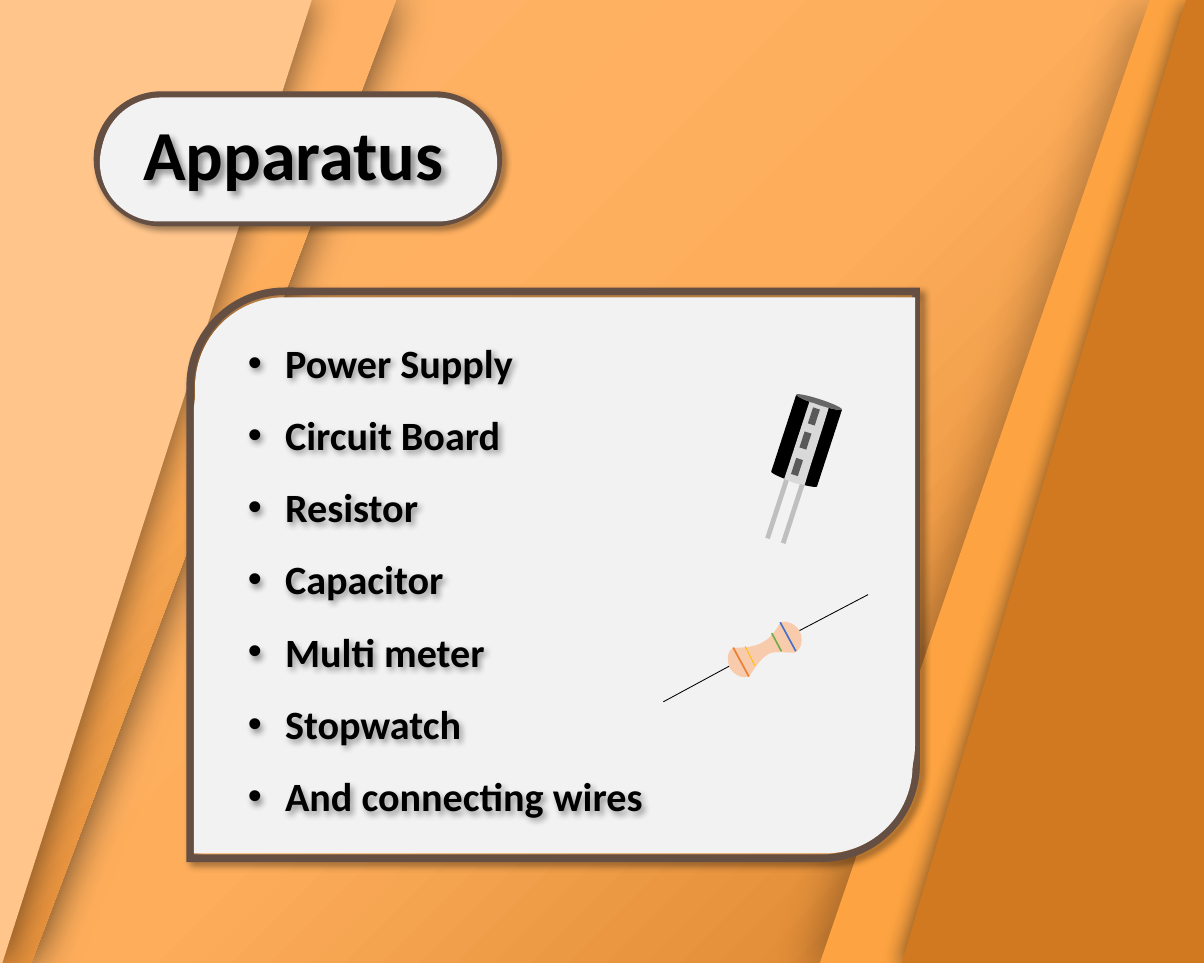
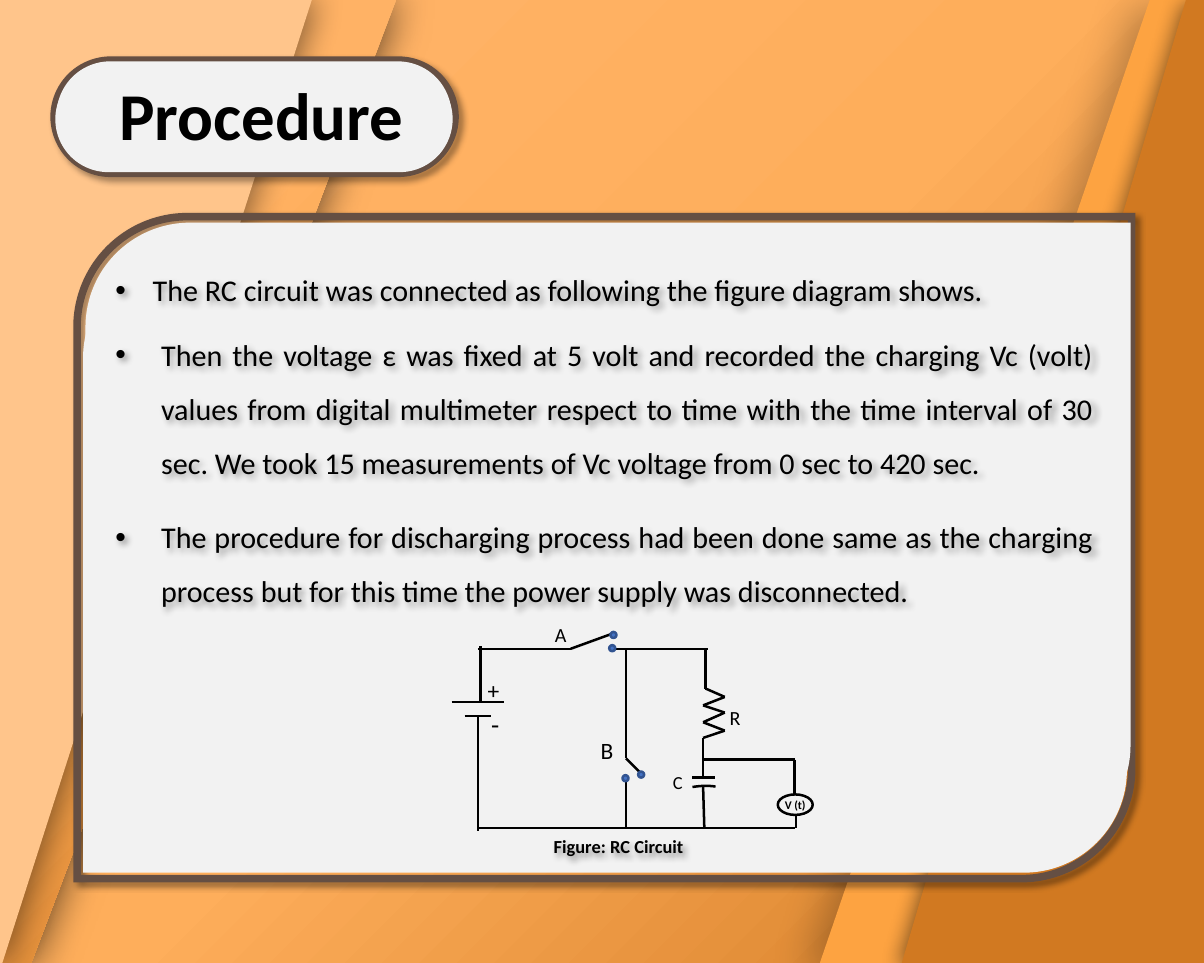
from itertools import pairwise
from math import cos, radians, sin

from lxml import etree
from pptx import Presentation
from pptx import util as u
from pptx.dml.color import RGBColor
from pptx.enum import shapes as sh, text as tx
from pptx.oxml import ns

HUE = {
    "cream": "FFC58B", "glow": "FFB66D", "warm": "FFB265", "mid": "FEAE5B",
    "amber": "FDA341", "rust": "D17921", "edge": "654F43", "paper": "F2F2F2",
    "ink": "000000", "lead": "BFBFBF", "strip": "D9D9D9", "mark": "595959",
    "skin": "F8CBAD", "gold": "FFC000", "red": "ED7D31", "green": "70AD47",
    "blue": "4472C4", "navy": "325491",
}
FONT = "Calibri"
KIND = sh.MSO_SHAPE
SOFT = (40, 4, 3, 45)


def rgb(name):
    return RGBColor.from_string(HUE[name])


def node(parent, tag, **attrs):
    made = etree.SubElement(parent, ns.qn(tag))
    for key, value in attrs.items():
        made.set(key, str(value))
    return made


def blend(props, stops, tag, **attrs):
    """Turn the solid fill of props into a gradient; returns its direction."""
    solid = props.find(ns.qn("a:solidFill"))
    grad = etree.Element(ns.qn("a:gradFill"), rotWithShape="1")
    props.replace(solid, grad)
    row = node(grad, "a:gsLst")
    for pos, name in stops:
        stop = node(row, "a:gs", pos=pos * 1000)
        node(stop, "a:srgbClr", val=HUE[name])
    return node(grad, tag, **attrs)


def shade(item, alpha, blur, dist, ang):
    item.shadow.inherit = False
    effects = item._element.spPr.find(ns.qn("a:effectLst"))
    cast = node(effects, "a:outerShdw", blurRad=u.Pt(blur), dist=u.Pt(dist),
                dir=ang * 60000, algn="ctr", rotWithShape=0)
    color = node(cast, "a:srgbClr", val=HUE["ink"])
    node(color, "a:alpha", val=alpha * 1000)


def style(item, fill=None, line=None, width=1.5):
    item.shadow.inherit = False
    if fill:
        item.fill.solid()
        item.fill.fore_color.rgb = rgb(fill)
    else:
        item.fill.background()
    if line:
        item.line.color.rgb = rgb(line)
        item.line.width = u.Pt(width)
    else:
        item.line.fill.background()
    return item


def shape(on, kind, box, fill=None, line=None, width=1.5, turn=0, adj=()):
    item = on.add_shape(kind, *map(u.Inches, box))
    item.rotation = turn
    for i, value in enumerate(adj):
        item.adjustments[i] = value
    return style(item, fill, line, width)


def wire(on, x, y, *points, color="ink", width=1.5):
    """Join the points, given from the corner x, y, by straight lines."""
    for (ax, ay), (bx, by) in pairwise(points):
        ends = map(u.Inches, (x + ax, y + ay, x + bx, y + by))
        item = on.add_connector(sh.MSO_CONNECTOR.STRAIGHT, *ends)
        item.line.color.rgb = rgb(color)
        item.line.width = u.Pt(width)
        node(item._element.spPr, "a:effectLst")


def outline(on, x, y, points, fill):
    spots = [(u.Inches(x + px), u.Inches(y + py)) for px, py in points]
    path = on.build_freeform(*spots[0], scale=1.0)
    path.add_line_segments(spots[1:], close=True)
    return style(path.convert_to_shape(), fill)


def blob(on, x, y, points, fill, mid, turn):
    """A closed chain of cubic curves, turned about the point mid."""
    c, s = cos(radians(turn)), sin(radians(turn))
    mx, my = mid
    flat = [(mx + (px - mx) * c + (py - my) * s,
             my - (px - mx) * s + (py - my) * c) for px, py in points]
    item = outline(on, x, y, flat, fill)
    legs = list(item._element.iter(ns.qn("a:lnTo")))
    for i in range(0, len(legs), 3):
        bend = etree.Element(ns.qn("a:cubicBezTo"))
        legs[i].addprevious(bend)
        for leg in legs[i:i + 3]:
            bend.append(leg[0])
            leg.getparent().remove(leg)
    item.rotation = turn


def ink(para, size, bold=False):
    font = para.font
    font.name, font.size, font.bold = FONT, u.Pt(size), bold
    font.color.rgb = rgb("ink")


def label(on, words, box, size, bold=False, left=0.1, right=0.1):
    item = on.add_textbox(*map(u.Inches, box))
    frame = item.text_frame
    frame.word_wrap = True
    frame.margin_left, frame.margin_right = u.Inches(left), u.Inches(right)
    frame.text = words
    ink(frame.paragraphs[0], size, bold)
    return item


def bullets(slide, rows, box, size, bold=False):
    """Each row is its words, indent, space around and whether justified."""
    item = slide.shapes.add_textbox(*map(u.Inches, box))
    frame = item.text_frame
    frame.word_wrap = True
    for i, (words, indent, gap, full) in enumerate(rows):
        para = frame.add_paragraph() if i else frame.paragraphs[0]
        para.text = words
        props = para._p.get_or_add_pPr()
        props.set("marL", str(u.Inches(indent)))
        props.set("indent", str(-u.Inches(indent)))
        node(props, "a:buFont", typeface="Arial")
        node(props, "a:buChar", char="•")
        para.line_spacing = 1.5
        if gap:
            para.space_before = para.space_after = u.Pt(gap)
        if full:
            para.alignment = tx.PP_ALIGN.JUSTIFY
        ink(para, size, bold)
    shade(item, *SOFT)


def bands(slide):
    """Four slanted strips: top and foot of the slant, outer edge, fill, shadow."""
    for top, foot, edge, fill, shadow in (
            (3.29, 0.26, -0.15, "rust", (68, 26, 0, 0)),
            (2.59, 0.02, -0.15, "cream", (45, 19, 3, 0)),
            (9.55, 6.81, 10.05, "amber", (26, 25, 10, 150)),
            (9.85, 7.49, 10.05, "rust", (48, 12, 3, 135))):
        corners = [(edge, 0), (top, 0), (foot, 8), (edge, 8)]
        band = outline(slide.shapes, 0, 0, corners, fill)
        shade(band, *shadow)
        if top == 3.29:
            stops = (0, "glow"), (32, "warm"), (42, "mid"), (100, "rust")
            blend(band._element.spPr, stops, "a:lin", ang=45 * 60000, scaled=0)


def plate(slide, kind, box, sheets, adj=()):
    """A brown shadowed frame with paper sheets, placed from its corner."""
    x, y = box[:2]
    on = slide.shapes.add_group_shape().shapes
    frame = shape(on, kind, box, line="edge", width=4.5, adj=adj)
    node(frame.line._get_or_add_ln(), "a:miter", lim=800000)
    shade(frame, *SOFT)
    for dx, dy, w, h in sheets:
        shape(on, kind, (x + dx, y + dy, w, h), "paper", adj=adj)


def head(slide, words, box, size):
    title = slide.shapes.title
    title.left, title.top, title.width, title.height = map(u.Inches, box)
    frame = title.text_frame
    frame.text = words
    frame.word_wrap = True
    frame.auto_size = tx.MSO_AUTO_SIZE.SHAPE_TO_FIT_TEXT
    frame.vertical_anchor = tx.MSO_ANCHOR.TOP
    para = frame.paragraphs[0]
    para.alignment = tx.PP_ALIGN.LEFT
    ink(para, size, True)
    slide.shapes._spTree.append(title._element)
    return title


def base(deck, pill, caps, panel, sheets):
    slide = deck.slides.add_slide(deck.slide_layouts[5])
    bands(slide)
    plate(slide, KIND.ROUNDED_RECTANGLE, pill, caps, (0.5,))
    plate(slide, KIND.ROUND_2_DIAG_RECTANGLE, panel, sheets)
    return slide


def can(slide, x, y):
    """A tilted capacitor."""
    on = slide.shapes.add_group_shape().shapes
    for dx, dy in ((0.06, 0.51), (0.19, 0.55)):
        shape(on, KIND.RECTANGLE, (x + dx, y + dy, 0.04, 0.68), "lead", turn=18)
    shape(on, KIND.CAN, (x + 0.1, y, 0.4, 0.72), "ink", turn=18, adj=(0.12,))
    strip = [(0.32, 0.04), (0.37, 0.05), (0.37, 0.06), (0.48, 0.09),
             (0.42, 0.29), (0.34, 0.53), (0.28, 0.73),
             (0.2, 0.72), (0.19, 0.71), (0.11, 0.68),
             (0.18, 0.47), (0.25, 0.25), (0.32, 0.04)]
    blob(on, x, y, strip, "strip", (0.3, 0.38), 18)
    for dx, dy in ((0.33, 0.09), (0.26, 0.29), (0.19, 0.51)):
        shape(on, KIND.RECTANGLE, (x + dx, y + dy, 0.06, 0.14), "mark", turn=18)


def resistor(slide, x, y):
    on = slide.shapes.add_group_shape().shapes
    wire(on, x, y, (0.01, 0.93), (0.62, 0.6), width=0.5)
    wire(on, x, y, (1.1, 0.36), (1.71, 0.04), width=0.5)
    body = [(0.56, 0.65), (0.53, 0.58), (0.54, 0.5), (0.59, 0.48),
            (0.78, 0.48), (0.88, 0.45), (0.98, 0.27),
            (1.03, 0.25), (1.1, 0.28), (1.14, 0.34),
            (1.17, 0.41), (1.16, 0.49), (1.1, 0.52),
            (0.92, 0.53), (0.89, 0.45), (0.72, 0.72),
            (0.67, 0.74), (0.6, 0.71), (0.56, 0.65)]
    blob(on, x, y, body, "skin", (0.85, 0.5), 332.3)
    for start, end, color, width in (
            ((0.69, 0.47), (0.77, 0.63), "gold", 0.5),
            ((0.59, 0.48), (0.72, 0.72), "red", 1),
            ((0.91, 0.36), (0.99, 0.51), "green", 1),
            ((0.98, 0.27), (1.11, 0.51), "blue", 1)):
        wire(on, x, y, start, end, color=color, width=width)


def circuit(slide, x, y):
    on = slide.shapes.add_group_shape().shapes
    for run in (
            [(0.27, 0.29), (1.04, 0.29), (1.37, 0.17)],
            [(1.39, 0.29), (2.18, 0.29)],
            [(1.5, 0.29), (1.5, 1.2), (1.62, 1.32)],
            [(1.5, 1.36), (1.5, 1.77)],
            [(2.16, 0.29), (2.16, 0.62), (2.32, 0.69), (2.14, 0.76),
             (2.32, 0.82), (2.14, 0.9), (2.32, 0.97), (2.14, 1.03), (2.14, 1.36)],
            [(2.14, 1.21), (2.9, 1.21), (2.9, 1.5)],
            [(2.05, 1.36), (2.24, 1.36)],
            [(2.14, 1.44), (2.15, 1.78)],
            [(0.27, 1.78), (2.15, 1.78), (2.9, 1.78)],
            [(2.91, 1.78), (2.91, 1.68)],
            [(0.05, 0.73), (0.49, 0.73)],
            [(0.16, 0.85), (0.38, 0.85)],
            [(0.27, 0.85), (0.27, 1.8)],
            [(0.29, 0.72), (0.29, 0.27)]):
        wire(on, x, y, *run)
    shape(on, KIND.OVAL, (x + 2.76, y + 1.5, 0.29, 0.17), line="ink")
    shape(on, KIND.ARC, (x + 1.71, y + 1.44, 0.69, 0.32), line="ink",
          turn=348.3, adj=(168.28, 198.21))
    for dx, dy in ((1.37, 0.15), (1.36, 0.26), (1.47, 1.34), (1.6, 1.31)):
        shape(on, KIND.OVAL, (x + dx, y + dy, 0.05, 0.05), "blue", "navy")
    for sign, dx, dy, size in (
            ("A", 0.85, 0.02, 12), ("B", 1.23, 0.97, 14), ("C", 1.83, 1.26, 11),
            ("R", 2.3, 0.71, 12), ("+", 0.29, 0.47, 14), ("-", 0.32, 0.73, 16)):
        label(on, sign, (x + dx, y + dy, 0.16, 0.3), size, left=0.06, right=-0.02)
    label(on, "V (t)", (x + 2.72, y + 1.48, 0.77, 0.13), 7, True)
    note = label(on, "Figure: RC Circuit", (x + 0.8, y + 1.79, 2.11, 0.29), 11, True)
    shade(note, *SOFT)


def parts(deck):
    slide = base(deck, (0.81, 0.79, 3.33, 1.06),
                 ((0.03, 0.02, 3.28, 1), (0.02, 0.07, 3.3, 0.98)),
                 (1.58, 2.42, 6.03, 4.71),
                 ((0.04, 0.05, 5.98, 4.46), (0.03, 0.28, 5.97, 4.39)))
    names = ("Power Supply", "Circuit Board", "Resistor", "Capacitor",
             "Multi meter", "Stopwatch", "And connecting wires")
    rows = [(name, 0.31, 0, False) for name in names]
    bullets(slide, rows, (1.96, 2.56, 7.78, 4.28), 24, True)
    shade(head(slide, "Apparatus", (1.09, 0.87, 3.37, 0.81), 42), *SOFT)
    can(slide, 6.4, 3.3)
    resistor(slide, 5.5, 4.9)


def steps(deck):
    slide = base(deck, (0.45, 0.5, 3.33, 0.94),
                 ((0.02, 0.01, 3.28, 0.89), (0.01, 0.05, 3.3, 0.88)),
                 (0.64, 1.8, 8.76, 5.5),
                 ((0.07, 0.05, 8.68, 5.21), (0.05, 0.32, 8.67, 5.13)))
    rows = [
        ("The RC circuit was connected as following the figure diagram shows.",
         0.31, 0, False),
        ("Then the voltage ε was fixed at 5 volt and recorded the charging Vc "
         "(volt) values from digital multimeter respect to time with the time "
         "interval of 30 sec. We took 15 measurements of Vc voltage from 0 sec "
         "to 420 sec.", 0.38, 6, True),
        ("The procedure for discharging process had been done same as the "
         "charging process but for this time the power supply was "
         "disconnected.", 0.38, 6, True),
    ]
    bullets(slide, rows, (0.86, 2.06, 8.32, 3.03), 18)
    head(slide, "Procedure", (0.89, 0.56, 3.55, 0.77), 40)
    circuit(slide, 3.7, 5.1)


def main():
    deck = Presentation()
    deck.slide_width, deck.slide_height = u.Inches(10), u.Inches(8)
    master = deck.slide_master
    master.background.fill.solid()
    master.background.fill.fore_color.rgb = rgb("mid")
    stops = (0, "glow"), (18, "warm"), (50, "mid"), (100, "rust")
    back = master._element.find(".//" + ns.qn("p:bgPr"))
    way = blend(back, stops, "a:path", path="circle")
    node(way, "a:fillToRect", r=100000, b=100000)
    parts(deck)
    steps(deck)
    deck.save("out.pptx")


if __name__ == "__main__":
    main()
